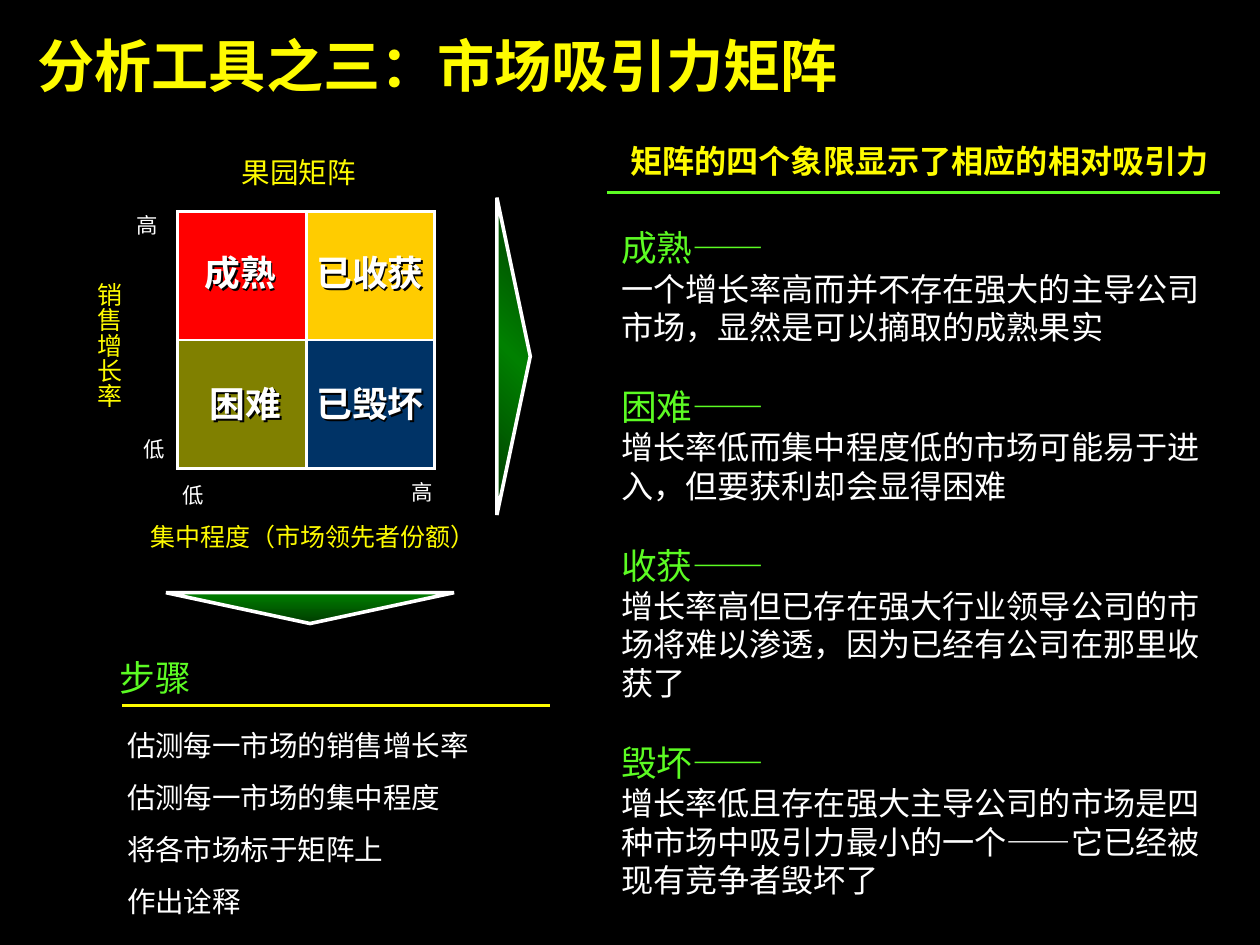
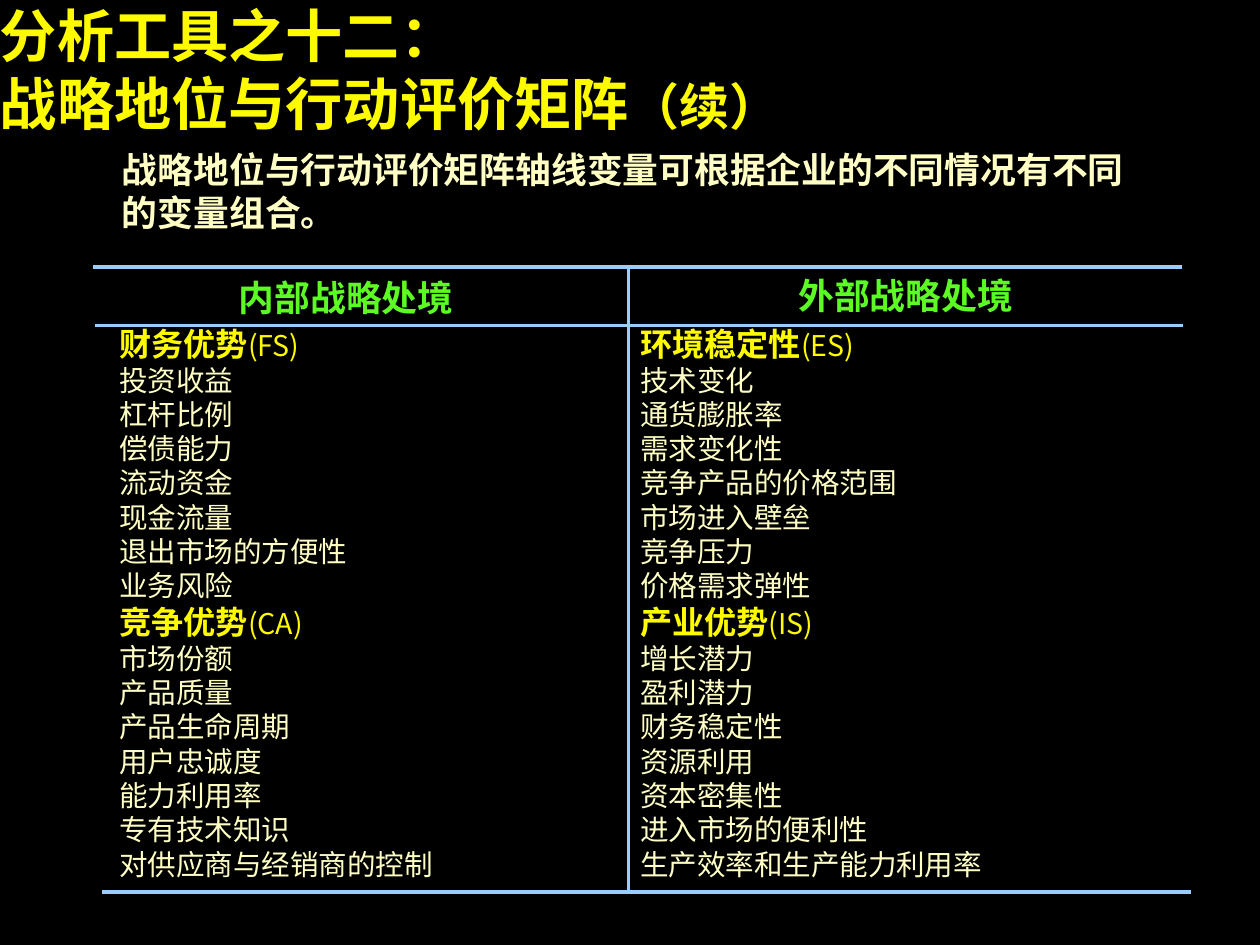
from lxml import etree
from pptx import Presentation
from pptx.dml.color import RGBColor
from pptx.enum.shapes import MSO_CONNECTOR, MSO_SHAPE
from pptx.oxml import parse_xml
from pptx.oxml.ns import nsdecls, qn
from pptx.util import Cm, Pt

RECT, MERGE = MSO_SHAPE.RECTANGLE, MSO_SHAPE.FLOWCHART_MERGE
TRIANGLE, STRAIGHT = MSO_SHAPE.ISOSCELES_TRIANGLE, MSO_CONNECTOR.STRAIGHT

BLACK, WHITE = RGBColor(0, 0, 0), RGBColor(255, 255, 255)
YELLOW, CREAM = RGBColor(0xFE, 0xFB, 0x00), RGBColor(0xFF, 0xFF, 0xC5)
GREEN, SKY = RGBColor(0x5C, 0xFB, 0x23), RGBColor(0x99, 0xCC, 0xFF)
RED, GOLD = RGBColor(0xFF, 0, 0), RGBColor(0xFF, 0xCC, 0)
OLIVE, NAVY = RGBColor(0x80, 0x80, 0), RGBColor(0, 0x33, 0x66)
LEAF, FOREST = RGBColor(0, 0x80, 0), RGBColor(0, 0x3B, 0)

FONT = "Noto Sans CJK SC"
LINE_HEIGHT = 1.2


def style(size, color, bold=False):
    return {"size": Pt(size), "color": color, "bold": bold}


# Text styles shared by the slides
TITLE = style(32, YELLOW, True)
TITLE_NOTE = style(28, YELLOW, True)
QUADRANT = style(20, WHITE, True)
SCALE = style(12, WHITE)
AXIS = style(14, YELLOW)
CAPTION = style(16, YELLOW)
SECTION = style(20, GREEN)
COLUMN_HEAD = style(20, GREEN, True)
STEP = style(16, WHITE)
HEADLINE = style(18, YELLOW, True)
BODY = style(18, WHITE)
INTRO = style(20, CREAM, True)
ITEM = style(16, CREAM)

# Slide 1 content
# label, fill, label left, label top, label width
QUADRANTS = [
    ("成熟", RED, 4.04, 4.95, 1.5),
    ("已收获", GOLD, 6.25, 4.95, 2.2),
    ("困难", OLIVE, 4.14, 7.54, 1.5),
    ("已毁坏", NAVY, 6.25, 7.54, 2.2),
]
SCALE_MARKS = [("高", 2.69, 4.19), ("高", 8.13, 9.47),
               ("低", 3.61, 9.53), ("低", 2.84, 8.61)]
# text, style, box
MATRIX_LABELS = [
    ("分析工具之三：市场吸引力矩阵", TITLE, (0.74, 0.61, 16.2, 1.35)),
    ("果园矩阵", CAPTION, (4.78, 3.07, 2.4, 0.69)),
    ("集中程度（市场领先者份额）", AXIS, (2.97, 10.31, 6.6, 0.58)),
    ("步骤", SECTION, (2.36, 12.95, 1.63, 0.84)),
    ("矩阵的四个象限显示了相应的相对吸引力", HEADLINE,
     (12.45, 2.79, 11.7, 0.76)),
]
STEPS = ["估测每一市场的销售增长率", "估测每一市场的集中程度",
         "将各市场标于矩阵上", "作出诠释"]
MEANINGS = [
    ("成熟——", ["一个增长率高而并不存在强大的主导公司",
              "市场，显然是可以摘取的成熟果实"]),
    ("困难——", ["增长率低而集中程度低的市场可能易于进入，但要获利却会显得困难"]),
    ("收获——", ["增长率高但已存在强大行业领导公司的市场将难以渗透，"
              "因为已经有公司在那里收获了"]),
    ("毁坏——", ["增长率低且存在强大主导公司的市场是四种市场中吸引力最小的一个"
              "——它已经被现有竞争者毁坏了"]),
]

# Slide 2 content
INTRO_TEXT = "战略地位与行动评价矩阵轴线变量可根据企业的不同情况有不同的变量组合。"
# heading, heading box, list box, groups of (name, code, items)
COLUMNS = [
    ("内部战略处境", (4.72, 5.44, 4.5, 0.84), (2.36, 6.4, 6.5, 11), [
        ("财务优势", "(FS)", ["投资收益", "杠杆比例", "偿债能力", "流动资金",
                          "现金流量", "退出市场的方便性", "业务风险"]),
        ("竞争优势", "(CA)", ["市场份额", "产品质量", "产品生命周期", "用户忠诚度",
                          "能力利用率", "专有技术知识", "对供应商与经销商的控制"]),
    ]),
    ("外部战略处境", (15.77, 5.41, 4.5, 0.84), (12.65, 6.4, 7, 11), [
        ("环境稳定性", "(ES)", ["技术变化", "通货膨胀率", "需求变化性",
                           "竞争产品的价格范围", "市场进入壁垒", "竞争压力",
                           "价格需求弹性"]),
        ("产业优势", "(IS)", ["增长潜力", "盈利潜力", "财务稳定性", "资源利用",
                          "资本密集性", "进入市场的便利性",
                          "生产效率和生产能力利用率"]),
    ]),
]
# x1, y1, x2, y2, width
TABLE_RULES = [
    (1.83, 5.28, 23.34, 5.28, 2.25),
    (1.88, 6.43, 23.37, 6.43, 1.5),
    (2.01, 17.63, 23.52, 17.63, 2.25),
    (12.42, 5.28, 12.42, 17.65, 1.75),
]


def add_slide(prs):
    s = prs.slides.add_slide(prs.slide_layouts[6])
    s.background.fill.solid()
    s.background.fill.fore_color.rgb = BLACK
    return s


def add_run(p, text, fmt):
    r = p.add_run()
    r.text = text
    for key, value in fmt.items():
        if key == "color":
            r.font.color.rgb = value
        else:
            setattr(r.font, key, value)
    r.font.name = FONT
    latin = r.font._element.find(qn("a:latin"))
    latin.addnext(parse_xml(f'<a:ea {nsdecls("a")} typeface="{FONT}"/>'))


def add_text(s, box, paragraphs, wrap=False, **spacing):
    """Each paragraph is a list of (text, style) runs."""
    sp = s.shapes.add_textbox(*map(Cm, box))
    tf = sp.text_frame
    tf.word_wrap = wrap
    tf.margin_left = tf.margin_right = tf.margin_top = tf.margin_bottom = 0
    for i, runs in enumerate(paragraphs):
        p = tf.paragraphs[0] if i == 0 else tf.add_paragraph()
        p.line_spacing = Pt(LINE_HEIGHT * runs[0][1]["size"].pt)
        for key, value in spacing.items():
            setattr(p, key, value)
        for text, fmt in runs:
            add_run(p, text, fmt)
    return sp


def add_rule(s, x1, y1, x2, y2, width, color):
    rule = s.shapes.add_connector(STRAIGHT, *map(Cm, (x1, y1, x2, y2)))
    rule.line.color.rgb = color
    rule.line.width = Pt(width)
    etree.SubElement(rule._element.spPr, qn("a:effectLst"))


def add_outlined(s, kind, box, width):
    sp = s.shapes.add_shape(kind, *map(Cm, box))
    sp.shadow.inherit = False
    sp.line.color.rgb = WHITE
    sp.line.width = Pt(width)
    ln = sp._element.spPr.find(qn("a:ln"))
    etree.SubElement(ln, qn("a:miter")).set("lim", "800000")
    return sp


def set_gradient(sp, colors, angle):
    step = 100000 // (len(colors) - 1)
    stops = "".join(f'<a:gs pos="{i * step}"><a:srgbClr val="{c}"/></a:gs>'
                    for i, c in enumerate(colors))
    sp._element.spPr.find(qn("a:prstGeom")).addnext(parse_xml(
        f'<a:gradFill {nsdecls("a")} rotWithShape="1"><a:gsLst>{stops}'
        f'</a:gsLst><a:lin ang="{angle * 60000}" scaled="0"/></a:gradFill>'))


def add_shadow(sp):
    sp._element.spPr.append(parse_xml(
        f'<a:effectLst {nsdecls("a")}><a:outerShdw dist="17961" dir="2700000">'
        f'<a:srgbClr val="{BLACK}"/></a:outerShdw></a:effectLst>'))


def build_attractiveness(prs):
    s = add_slide(prs)

    # Matrix
    left, top, size = 3.51, 4.18, 2.54
    for i, (_, color, *_) in enumerate(QUADRANTS):
        row, col = divmod(i, 2)
        sp = add_outlined(
            s, RECT, (left + col * size, top + row * size, size, size), 1.5)
        sp.fill.solid()
        sp.fill.fore_color.rgb = color
    for label, _, x, y, width in QUADRANTS:
        add_shadow(add_text(s, (x, y, width, 0.84), [[(label, QUADRANT)]]))

    # Labels
    for mark, x, y in SCALE_MARKS:
        add_text(s, (x, y, 0.5, 0.51), [[(mark, SCALE)]])
    for text, fmt, box in MATRIX_LABELS:
        add_text(s, box, [[(text, fmt)]])
    sp = add_text(s, (1.88, 5.59, 0.58, 2.6), [[("销售增长率", AXIS)]])
    sp.text_frame._txBody.bodyPr.set("vert", "eaVert")

    # Pointers to the steps and the meanings
    down = add_outlined(s, MERGE, (3.28, 11.71, 5.69, 0.61), 2)
    set_gradient(down, [LEAF, FOREST], 90)
    right = add_outlined(s, TRIANGLE, (7.01, 6.71, 6.27, 0.66), 2)
    right.rotation = 90
    set_gradient(right, [FOREST, LEAF, FOREST], 225)

    # Steps
    add_rule(s, 2.41, 13.94, 10.87, 13.94, 1.75, YELLOW)
    add_text(s, (2.51, 14.38, 7, 3.76), [[(t, STEP)] for t in STEPS],
             space_after=Pt(10))

    # Meanings
    add_rule(s, 11.99, 3.81, 24.1, 3.81, 1.75, GREEN)
    paragraphs = []
    for heading, lines in MEANINGS:
        paragraphs.append([(heading, SECTION)])
        paragraphs += [[(line, BODY)] for line in lines]
    sp = add_text(s, (12.27, 4.47, 11.71, 13.28), paragraphs, wrap=True)
    for p, runs in list(zip(sp.text_frame.paragraphs, paragraphs))[1:]:
        if runs[0][1] is SECTION:
            p.space_before = Pt(LINE_HEIGHT * 18)


def build_position(prs):
    s = add_slide(prs)
    add_text(s, (0, 0, 24.08, 2.72), [
        [("分析工具之十二：", TITLE)],
        [("战略地位与行动评价矩阵", TITLE), ("（续）", TITLE_NOTE)],
    ], wrap=True)
    add_text(s, (2.41, 2.92, 20.32, 1.7), [[(INTRO_TEXT, INTRO)]], wrap=True)

    # Frame and two columns
    for rule in TABLE_RULES:
        add_rule(s, *rule, SKY)
    for heading, head_box, list_box, groups in COLUMNS:
        add_text(s, head_box, [[(heading, COLUMN_HEAD)]])
        paragraphs = []
        for name, code, items in groups:
            paragraphs.append([(name, HEADLINE), (code, CAPTION)])
            paragraphs += [[(item, ITEM)] for item in items]
        add_text(s, list_box, paragraphs)


def main():
    prs = Presentation()
    prs.slide_width, prs.slide_height = Cm(24.89), Cm(18.67)
    build_attractiveness(prs)
    build_position(prs)
    prs.save("out.pptx")


if __name__ == "__main__":
    main()
